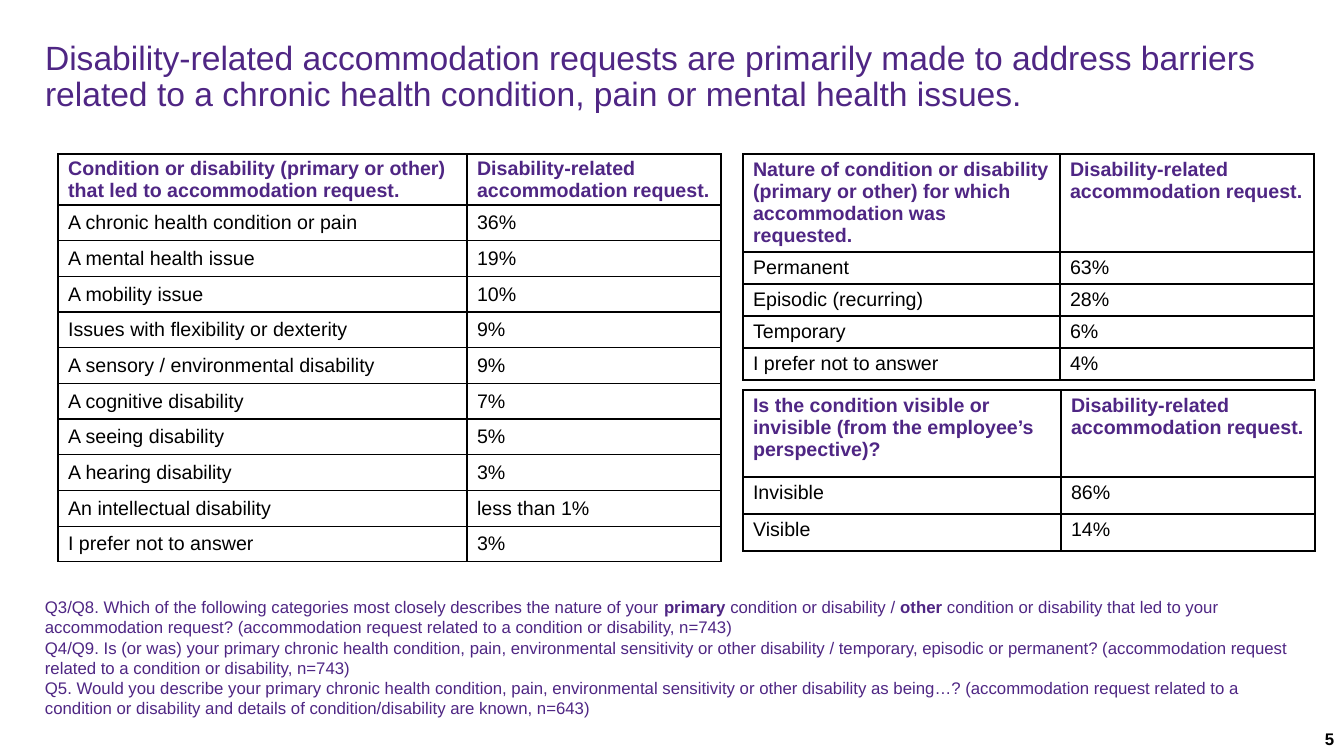
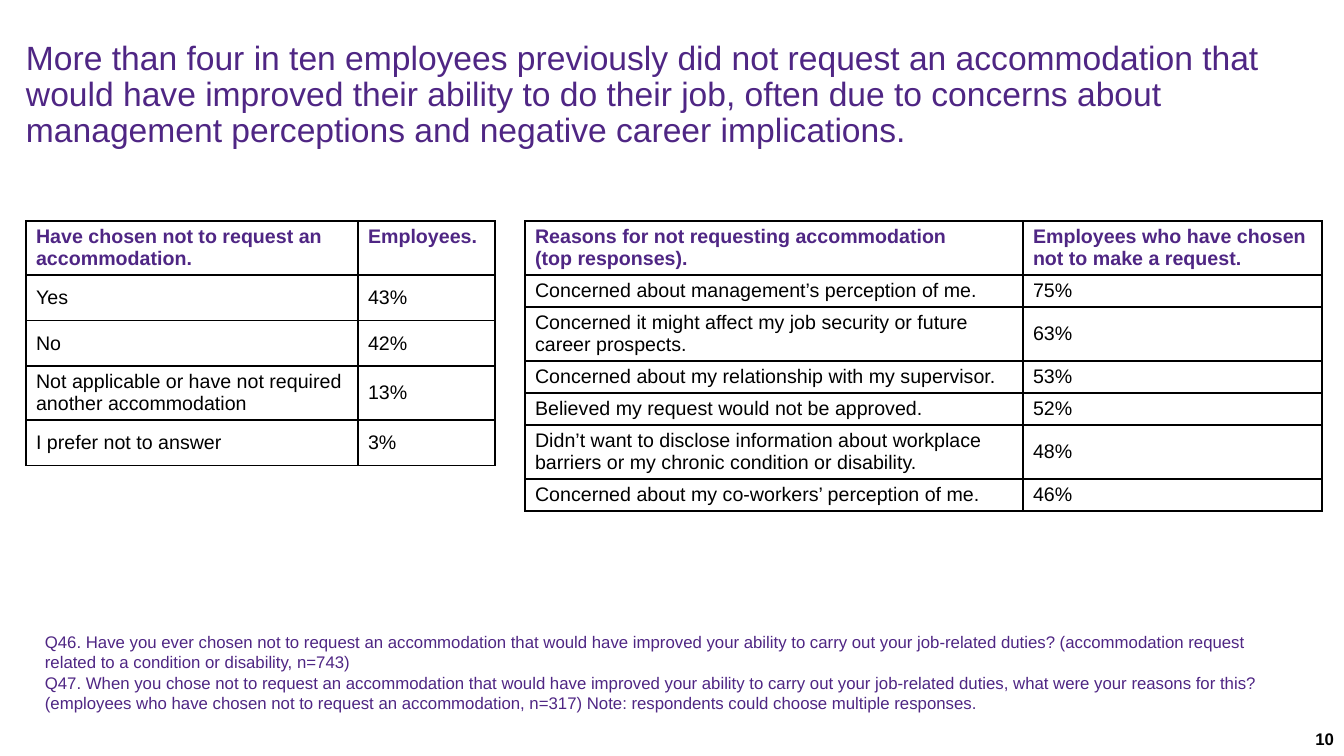
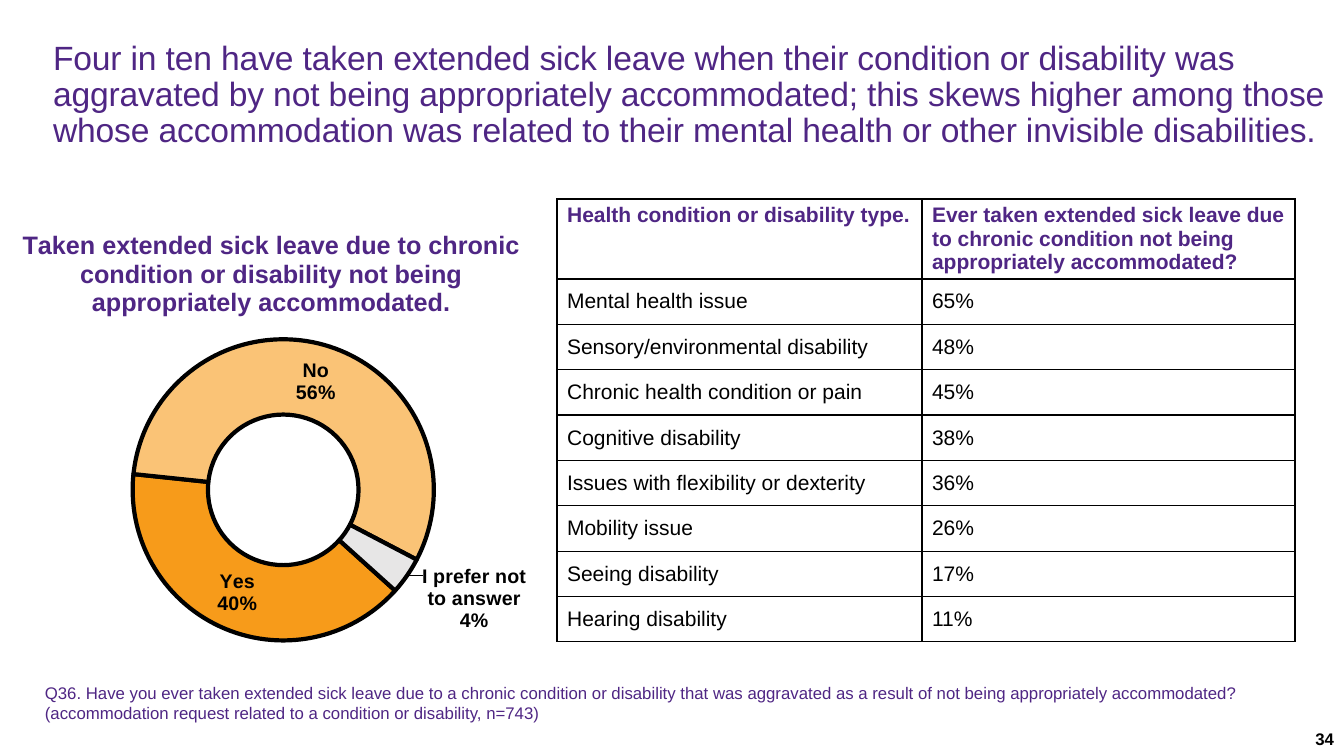
from pptx import Presentation
from pptx.chart.data import CategoryChartData
from pptx.dml.color import RGBColor as RGB
from pptx.enum.chart import XL_CHART_TYPE as CT
from pptx.enum.text import MSO_ANCHOR as ANCHOR, MSO_AUTO_SIZE as AUTO, PP_ALIGN as ALIGN
from pptx.oxml import parse_xml
from pptx.oxml.ns import nsdecls, qn
from pptx.util import Emu, Pt

PX = 12192000 / 1344
C = {"purple": "4F2684", "black": "000000", "white": "FFFFFF",
     "orange": "F79B1A", "peach": "FAC376", "grey": "E7E6E6"}
FONT = "Arial"
DRR = "Disability-related accommodation request."

SLIDES = [
    {
        "number": "5",
        "title": "Disability-related accommodation requests are primarily made to address barriers related to a chronic health condition, pain or mental health issues.",
        "title_box": (45, 39, 1263, 78), "spc": 0,
        "note_box": (35, 592, 1276, 132),
        "note": "Q3/Q8. Which of the following categories most closely describes the nature of your **primary** condition or disability / **other **condition or disability that led to your accommodation request? (accommodation request related to a condition or disability, n=743)\n"
                "Q4/Q9. Is (or was) your primary chronic health condition, pain, environmental sensitivity or other disability / temporary, episodic or permanent? (accommodation request related to a condition or disability, n=743)\n"
                "Q5. Would you describe your primary chronic health condition, pain, environmental sensitivity or other disability as being…? (accommodation request related to a condition or disability and details of condition/disability are known, n=643)",
        "tables": [
            {"at": (58, 154), "cols": (409, 254), "head": 51, "body": 357, "size": 14,
             "anchors": (ANCHOR.MIDDLE, ANCHOR.MIDDLE), "pad": 3,
             "rows": [
                 ("Condition or disability (primary or other) that led to accommodation request.", DRR),
                 ("A chronic health condition or pain", "36%"),
                 ("A mental health issue", "19%"),
                 ("A mobility issue", "10%"),
                 ("Issues with flexibility or dexterity", "9%"),
                 ("A sensory / environmental disability", "9%"),
                 ("A cognitive disability", "7%"),
                 ("A seeing disability", "5%"),
                 ("A hearing disability", "3%"),
                 ("An intellectual disability", "less than 1%"),
                 ("I prefer not to answer", "3%")]},
            {"at": (743, 154), "cols": (317, 254), "head": 98, "body": 128, "size": 14,
             "anchors": (ANCHOR.TOP, ANCHOR.TOP), "pad": 5,
             "rows": [
                 ("Nature of condition or disability (primary or other) for which accommodation was requested.", DRR),
                 ("Permanent", "63%"),
                 ("Episodic (recurring)", "28%"),
                 ("Temporary", "6%"),
                 ("I prefer not to answer", "4%")]},
            {"at": (743, 390), "cols": (318, 254), "head": 87, "body": 74, "size": 14,
             "anchors": (ANCHOR.TOP, ANCHOR.TOP), "pad": 5,
             "rows": [
                 ("Is the condition visible or invisible (from the employee’s perspective)?", DRR),
                 ("Invisible", "86%"),
                 ("Visible", "14%")]},
        ],
    },
    {
        "number": "10",
        "title": "More than four in ten employees previously did not request an accommodation that would have improved their ability to do their job, often due to concerns about management perceptions and negative career implications.",
        "title_box": (26, 39, 1271, 114), "spc": 0,
        "note_box": (35, 627, 1263, 92),
        "note": "Q46. Have you ever chosen not to request an accommodation that would have improved your ability to carry out your job-related duties? (accommodation request related to a condition or disability, n=743)\n"
                "Q47. When you chose not to request an accommodation that would have improved your ability to carry out your job-related duties, what were your reasons for this? (employees who have chosen not to request an accommodation, n=317) Note: respondents could choose multiple responses.",
        "tables": [
            {"at": (26, 221), "cols": (332, 137), "head": 54, "body": 182, "size": 14,
             "anchors": (ANCHOR.TOP, ANCHOR.MIDDLE), "pad": 5,
             "rows": [
                 ("Have chosen not to request an accommodation.", "Employees."),
                 ("Yes", "43%"),
                 ("No", "42%"),
                 ("Not applicable or have not required another accommodation", "13%"),
                 ("I prefer not to answer", "3%")]},
            {"at": (525, 221), "cols": (498, 299), "head": 54, "body": 192, "size": 14,
             "anchors": (ANCHOR.TOP, ANCHOR.MIDDLE), "pad": 5,
             "rows": [
                 ("Reasons for not requesting accommodation\n(top responses).", "Employees who have chosen not to make a request."),
                 ("Concerned about management’s perception of me.", "75%"),
                 ("Concerned it might affect my job security or future career prospects.", "63%"),
                 ("Concerned about my relationship with my supervisor.", "53%"),
                 ("Believed my request would not be approved.", "52%"),
                 ("Didn’t want to disclose information about workplace barriers or my chronic condition or disability.", "48%"),
                 ("Concerned about my co-workers’ perception of me.", "46%")]},
        ],
    },
    {
        "number": "34",
        "title": "Four in ten have taken extended sick leave when their condition or disability was aggravated by not being appropriately accommodated; this skews higher among those whose accommodation was related to their mental health or other invisible disabilities.",
        "title_box": (53, 39, 1281, 150), "spc": -10,
        "note_box": (35, 678, 1222, 50),
        "note": "Q36. Have you ever taken extended sick leave due to a chronic condition or disability that was aggravated as a result of not being appropriately accommodated? (accommodation request related to a condition or disability, n=743)",
        "tables": [
            {"at": (557, 199), "cols": (365, 373), "head": 80, "body": 363, "size": 15,
             "anchors": (ANCHOR.TOP, ANCHOR.MIDDLE), "pad": 5,
             "rows": [
                 ("Health condition or disability type.", "Ever taken extended sick leave due to chronic condition not being appropriately accommodated?"),
                 ("Mental health issue", "65%"),
                 ("Sensory/environmental disability", "48%"),
                 ("Chronic health condition or pain", "45%"),
                 ("Cognitive disability", "38%"),
                 ("Issues with flexibility or dexterity", "36%"),
                 ("Mobility issue", "26%"),
                 ("Seeing disability", "17%"),
                 ("Hearing disability", "11%")]},
        ],
    },
]


def write(tf, text, size, color, bold=False, align=ALIGN.LEFT, spacing=None, spc=0):
    for i, line in enumerate(text.split("\n")):
        p = tf.add_paragraph() if i else tf.paragraphs[0]
        p.alignment = align
        p.line_spacing = spacing
        for j, part in enumerate(line.split("**")):
            r = p.add_run()
            r.text = part
            r.font.name = FONT
            r.font.size = Pt(size)
            r.font.bold = bold or j % 2 == 1
            r.font.color.rgb = RGB.from_string(C[color])
            if spc:
                r._r.get_or_add_rPr().set("spc", str(spc))


def place(parent, index, modes, **sizes):
    for old in parent.findall(qn("c:layout")):
        parent.remove(old)
    tags = modes + "".join(f'<c:{k} val="{v}"/>' for k, v in sizes.items())
    parent.insert(index, parse_xml(
        f'<c:layout {nsdecls("c")}><c:manualLayout>{tags}</c:manualLayout></c:layout>'))


prs = Presentation()
prs.slide_width = Emu(round(1344 * PX))
prs.slide_height = Emu(round(756 * PX))

for d in SLIDES:
    s = prs.slides.add_slide(prs.slide_layouts[5])
    title = s.shapes.title
    title.left, title.top, title.width, title.height = [Emu(round(v * PX)) for v in d["title_box"]]
    tf = title.text_frame
    tf.word_wrap = True
    tf.auto_size = AUTO.NONE
    tf.vertical_anchor = ANCHOR.TOP
    tf.margin_left = tf.margin_right = 0
    tf.margin_top = tf.margin_bottom = Emu(round(2 * PX))
    write(tf, d["title"], 24, "purple", spacing=0.9, spc=d["spc"])

    for t in d["tables"]:
        n = len(t["rows"])
        box = (*t["at"], sum(t["cols"]), t["head"] + t["body"])
        tbl = s.shapes.add_table(n, 2, *[Emu(round(v * PX)) for v in box]).table
        for col, w in zip(tbl.columns, t["cols"]):
            col.width = Emu(round(w * PX))
        for i, row in enumerate(t["rows"]):
            h = t["body"] / (n - 1) if i else t["head"]
            tbl.rows[i].height = Emu(round(h * PX))
            for j, text in enumerate(row):
                cell = tbl.cell(i, j)
                cell.margin_top = cell.margin_bottom = Emu(round(t["pad"] * PX))
                cell.vertical_anchor = t["anchors"][min(i, 1)]
                cell.fill.solid()
                cell.fill.fore_color.rgb = RGB.from_string(C["white"])
                write(cell.text_frame, text, t["size"], "black" if i else "purple", bold=i == 0)
                tcPr = cell._tc.get_or_add_tcPr()
                for k, side in enumerate("LRTB"):
                    tcPr.insert(k, parse_xml(
                        f'<a:ln{side} {nsdecls("a")} w="12700"><a:solidFill>'
                        f'<a:srgbClr val="{C["black"]}"/></a:solidFill></a:ln{side}>'))

    for box, text, color, bold, align in [
        (d["note_box"], d["note"], "purple", False, ALIGN.LEFT),
        ((1041, 724, 303, 32), d["number"], "black", True, ALIGN.RIGHT),
    ]:
        tf = s.shapes.add_textbox(*[Emu(round(v * PX)) for v in box]).text_frame
        tf.word_wrap = True
        write(tf, text, 12, color, bold, align)

cd = CategoryChartData(number_format="###0%")
cd.categories = ["Yes", "No", "I prefer not to answer"]
cd.add_series("Series 1", (0.4, 0.56, 0.04))
box = [Emu(round(v * PX)) for v in (-113, 202, 655, 443)]
chart = s.shapes.add_chart(CT.DOUGHNUT, *box, cd).chart
chart.has_legend = False
chart.font.name = FONT
chart.font.size = Pt(14)
chart.has_title = True
write(chart.chart_title.text_frame,
      "Taken extended sick leave due to chronic condition or disability not being appropriately accommodated.",
      18, "purple", True, ALIGN.CENTER)
edge = '<c:xMode val="edge"/><c:yMode val="edge"/>'
place(chart.chart_title._element, 1, edge, x=0.2, y=0.05)
area = chart._chartSpace.chart.plotArea
place(area, 0, '<c:layoutTarget val="inner"/>' + edge, x=0.28, y=0.31, w=0.65, h=0.68)

plot = chart.plots[0]
plot.vary_by_categories = True
area.find(".//" + qn("c:firstSliceAng")).set("val", "132")
area.find(".//" + qn("c:holeSize")).set("val", "50")
ser = plot.series[0]
for i, color in enumerate(["orange", "peach", "grey"]):
    fmt = ser.points[i].format
    fmt.fill.solid()
    fmt.fill.fore_color.rgb = RGB.from_string(C[color])
    fmt.line.color.rgb = RGB.from_string(C["black"])
    fmt.line.width = Pt(3)

label = (
    '<c:numFmt formatCode="###0%" sourceLinked="0"/><c:spPr><a:noFill/><a:ln><a:noFill/></a:ln></c:spPr>'
    '<c:txPr><a:bodyPr/><a:p><a:pPr><a:defRPr sz="1400" b="1"><a:solidFill>'
    f'<a:srgbClr val="{C["black"]}"/></a:solidFill><a:latin typeface="{FONT}"/></a:defRPr></a:pPr></a:p></c:txPr>'
    '<c:showLegendKey val="0"/><c:showVal val="1"/><c:showCatName val="1"/><c:showSerName val="0"/>'
    '<c:showPercent val="0"/><c:showBubbleSize val="0"/><c:separator/>')
label_size = (
    '<c:extLst><c:ext uri="{CE6537A1-D6FC-4f65-9D91-7224C49458BB}" '
    'xmlns:c15="http://schemas.microsoft.com/office/drawing/2012/chart"><c15:layout><c:manualLayout>'
    '<c:w val="0.17"/><c:h val="0.18"/></c:manualLayout></c15:layout></c:ext></c:extLst>')
labels = parse_xml(
    f'<c:dLbls {nsdecls("c", "a")}><c:dLbl><c:idx val="2"/>{label}{label_size}</c:dLbl>'
    f'{label}<c:showLeaderLines val="1"/></c:dLbls>')
place(labels[0], 1, "", x=0.15, y=0.1)
for sep in labels.iter(qn("c:separator")):
    sep.text = "\n"
ser._element.find(qn("c:cat")).addprevious(labels)

prs.save("out.pptx")
